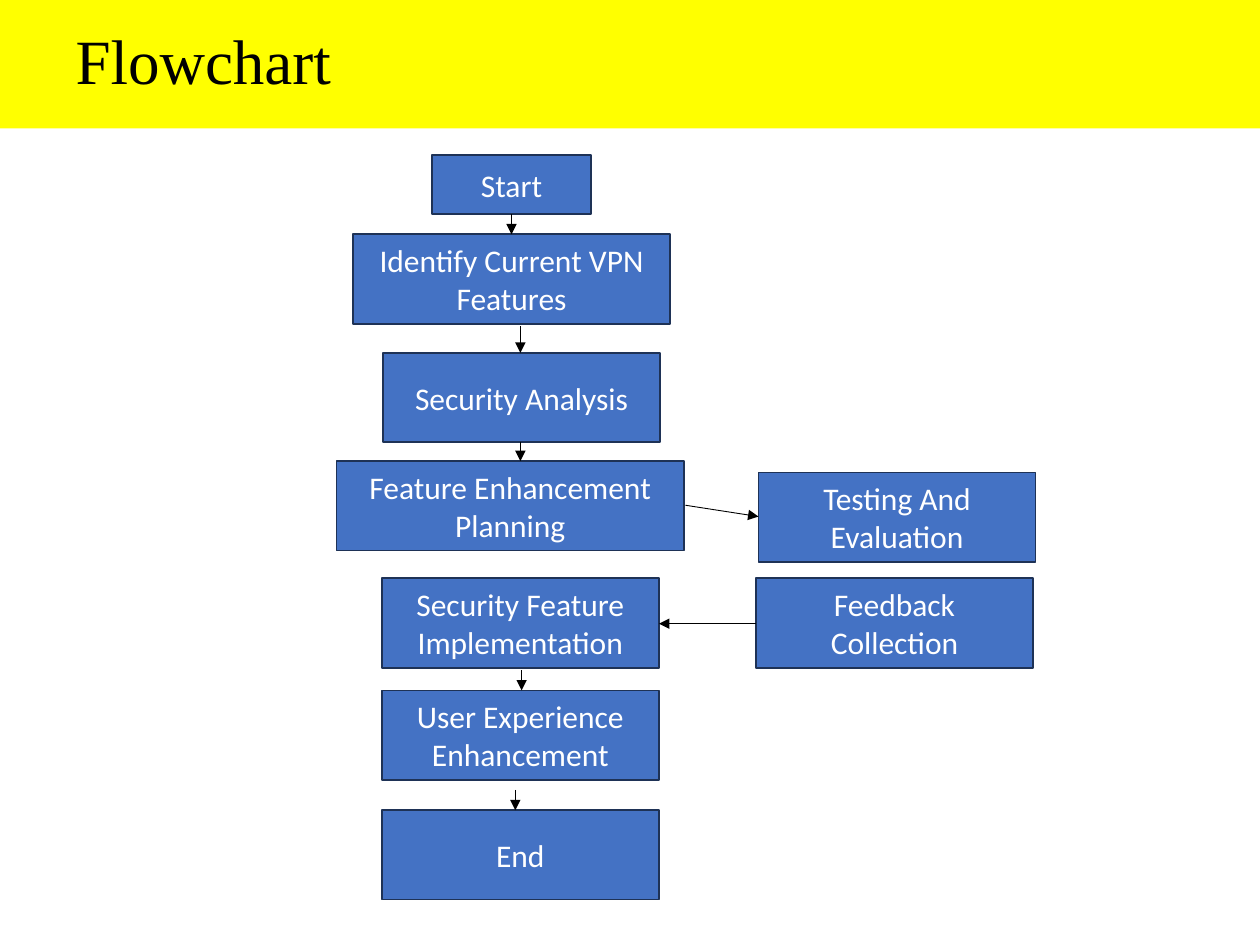
from lxml import etree
from pptx import Presentation
from pptx.dml.color import RGBColor
from pptx.enum.shapes import MSO_CONNECTOR, MSO_SHAPE
from pptx.enum.text import MSO_ANCHOR, MSO_AUTO_SIZE, PP_ALIGN
from pptx.oxml.ns import qn
from pptx.util import Inches, Pt

RECT = MSO_SHAPE.RECTANGLE
LINE = MSO_CONNECTOR.STRAIGHT
MIDDLE = MSO_ANCHOR.MIDDLE
LEFT, CENTER = PP_ALIGN.LEFT, PP_ALIGN.CENTER
NO_FIT = MSO_AUTO_SIZE.NONE

YELLOW = RGBColor(0xFF, 0xFF, 0x00)
BLUE = RGBColor(0x44, 0x72, 0xC4)
NAVY = RGBColor(0x1E, 0x32, 0x56)
BLACK = RGBColor(0x00, 0x00, 0x00)
WHITE = RGBColor(0xFF, 0xFF, 0xFF)

STEP_W, STEP_H = 2.2, 0.71

# Text, left, top, width and height, in inches from the chart's corner
STEPS = [
    ("Start", 0.76, 0, 1.26, 0.47),
    ("Identify Current VPN Features", 0.13, 0.63, 2.52, STEP_H),
    ("Security Analysis", 0.37, 1.57, STEP_W, STEP_H),
    ("Feature Enhancement Planning", 0, 2.43, 2.76, STEP_H),
    ("Security Feature Implementation", 0.36, 3.36, STEP_W, STEP_H),
    ("User Experience Enhancement", 0.36, 4.25, STEP_W, STEP_H),
    ("End", 0.36, 5.2, STEP_W, STEP_H),
    ("Testing And Evaluation", 3.35, 2.52, STEP_W, STEP_H),
    ("Feedback Collection", 3.33, 3.36, STEP_W, STEP_H),
]

# Start x, start y, end x, end y, from the same corner
ARROWS = [
    (1.39, 0.47, 1.39, 0.63),
    (1.46, 1.36, 1.46, 1.57),
    (1.46, 2.28, 1.46, 2.43),
    (1.47, 4.09, 1.47, 4.25),
    (1.42, 5.04, 1.42, 5.2),
    (2.77, 2.78, 3.35, 2.87),
    (3.33, 3.72, 2.56, 3.72),
]


def add_text(para, text, font, size, color):
    run = para.add_run()
    run.text = text
    run.font.name = font
    run.font.size = Pt(size)
    run.font.color.rgb = color


def fill_title(slide, text, left, top, width, height):
    title = slide.shapes.title
    title.left, title.top = Inches(left), Inches(top)
    title.width, title.height = Inches(width), Inches(height)
    title.fill.solid()
    title.fill.fore_color.rgb = YELLOW
    frame = title.text_frame
    frame.auto_size = NO_FIT
    frame.vertical_anchor = MIDDLE
    frame.margin_left = Inches(0.6)
    para = frame.paragraphs[0]
    para.alignment = LEFT
    para.line_spacing = 0.9
    add_text(para, text, "Times New Roman", 36, BLACK)


def add_step(slide, text, left, top, width, height):
    step = slide.shapes.add_shape(
        RECT, Inches(left), Inches(top), Inches(width), Inches(height))
    step.shadow.inherit = False
    step.fill.solid()
    step.fill.fore_color.rgb = BLUE
    step.line.color.rgb = NAVY
    step.line.width = Pt(1)
    frame = step.text_frame
    frame.word_wrap = True
    frame.vertical_anchor = MIDDLE
    para = frame.paragraphs[0]
    para.alignment = CENTER
    add_text(para, text, "Calibri", 18, WHITE)


def add_arrow(slide, *ends):
    arrow = slide.shapes.add_connector(LINE, *map(Inches, ends))
    arrow.line.color.rgb = BLACK
    arrow.line.width = Pt(0.5)
    etree.SubElement(arrow.line._get_or_add_ln(), qn("a:tailEnd"), type="triangle")
    etree.SubElement(arrow._element.spPr, qn("a:effectLst"))


def add_chart(slide, left, top):
    """Draw the steps and arrows of the flow from the given corner."""
    for text, x, y, width, height in STEPS:
        add_step(slide, text, left + x, top + y, width, height)
    for x1, y1, x2, y2 in ARROWS:
        add_arrow(slide, left + x1, top + y1, left + x2, top + y2)


def main():
    deck = Presentation()
    deck.slide_width, deck.slide_height = Inches(10), Inches(7.5)
    slide = deck.slides.add_slide(deck.slide_layouts[5])
    fill_title(slide, "Flowchart", 0, 0, 10, 1.02)
    add_chart(slide, 2.67, 1.23)
    deck.save("out.pptx")


if __name__ == "__main__":
    main()
